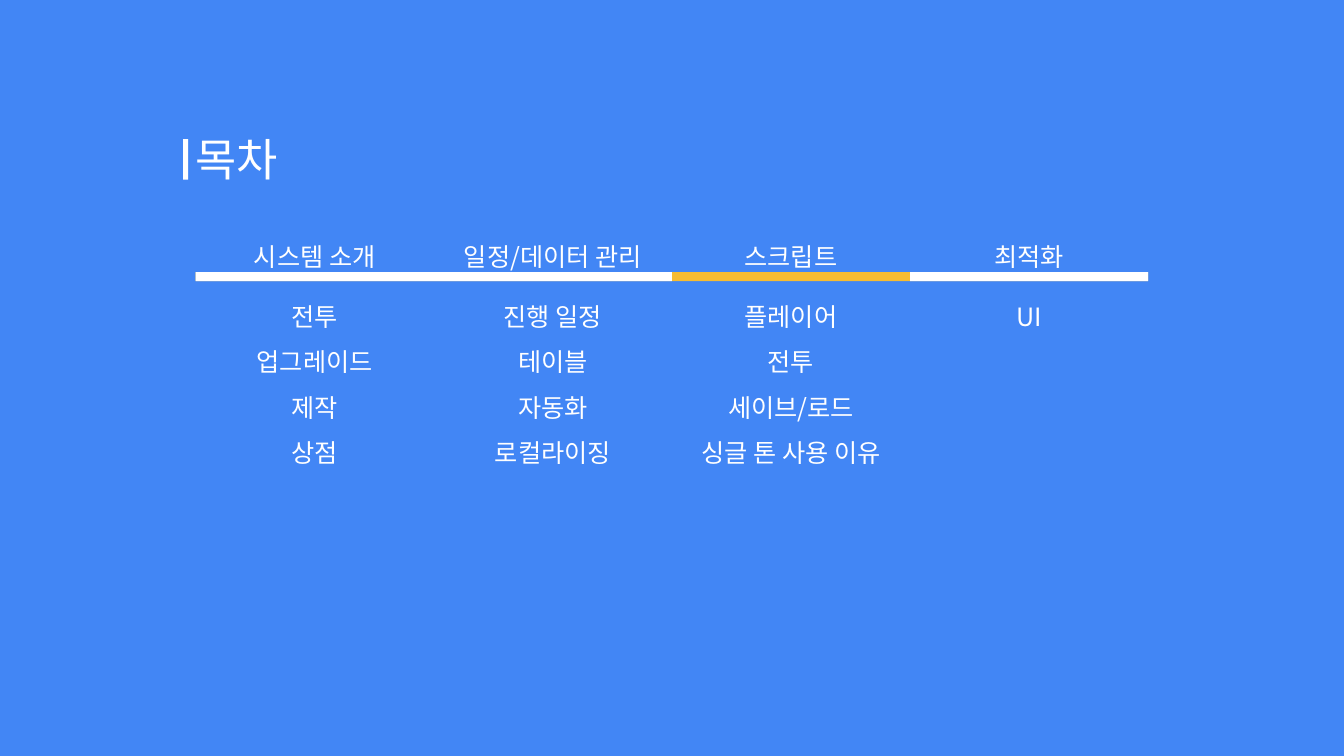
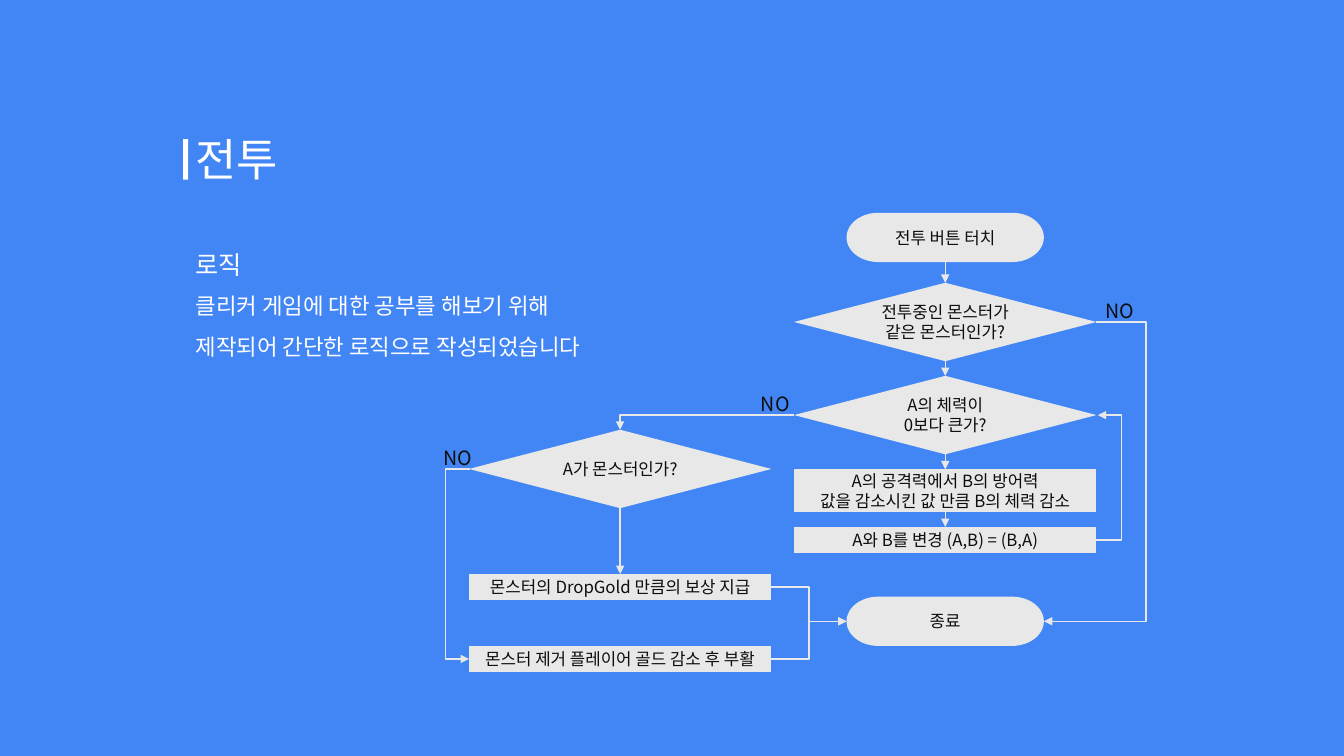
from lxml import etree
from pptx import Presentation
from pptx.dml.color import RGBColor
from pptx.enum import shapes, text
from pptx.oxml import ns
from pptx.util import Pt

FONT = "Noto Sans CJK KR"
BLUE, WHITE, GOLD, GREY, INK = "4286F5", "FFFFFF", "F7BC32", "E8E8E8", "0D0D0D"
LEFT, CENTER = text.PP_ALIGN.LEFT, text.PP_ALIGN.CENTER
TOP, MIDDLE = text.MSO_ANCHOR.TOP, text.MSO_ANCHOR.MIDDLE
KINDS = shapes.MSO_SHAPE


def color(value):
    """Turn a hex string into a colour."""
    return RGBColor.from_string(value)


def assign(target, values):
    """Set every attribute named in a dict of format values."""
    for name, value in values.items():
        setattr(target, name, value)


def place(box, left, top, width, height):
    """Move and size a box, in points."""
    assign(box, {"left": Pt(left), "top": Pt(top), "width": Pt(width), "height": Pt(height)})


def write(box, lines, size, ink=WHITE, align=LEFT, anchor=TOP, spacing=1.0, lead=None):
    """Fill a box with one plain paragraph per line."""
    frame = box.text_frame
    frame.text = "\n".join(lines)
    assign(frame, {"word_wrap": True, "auto_size": text.MSO_AUTO_SIZE.NONE,
                   "vertical_anchor": anchor})
    for index, para in enumerate(frame.paragraphs):
        assign(para, {"alignment": align, "line_spacing": spacing,
                      "space_before": Pt(0), "space_after": Pt(0)})
        points = lead if lead and index == 0 else size
        for span in para.runs:
            assign(span.font, {"name": FONT, "size": Pt(points), "bold": False})
            span.font.color.rgb = color(ink)
    for props in box.element.iter(ns.qn("a:rPr")):
        etree.SubElement(props, ns.qn("a:ea"), typeface=FONT)
    for props in box.element.iter(ns.qn("a:pPr")):
        props.set("marL", "0")
        props.set("indent", "0")
        etree.SubElement(props, ns.qn("a:buNone"))


def add_label(page, area, lines, size, **style):
    """Add a text box."""
    box = page.shapes.add_textbox(*map(Pt, area))
    write(box, lines, size, **style)


def add_block(page, kind, area, fill):
    """Add a flat filled shape without an outline."""
    block = page.shapes.add_shape(kind, *map(Pt, area))
    block.shadow.inherit = False
    block.fill.solid()
    block.fill.fore_color.rgb = color(fill)
    block.line.fill.background()
    return block


def add_page(deck, layout, title):
    """Add a slide with the marked title shared by all slides."""
    page = deck.slides.add_slide(deck.slide_layouts.get_by_name(layout))
    place(page.shapes.title, 132.5, 90.7, 293.8, 46)
    write(page.shapes.title, [title], 32)
    add_block(page, KINDS.RECTANGLE, (130.8, 99.3, 3.6, 29), WHITE)
    return page


def add_arrow(page, kind, start, end):
    """Add a thin line that ends in an arrowhead."""
    arrow = page.shapes.add_connector(kind, *map(Pt, (*start, *end)))
    arrow.line.width = Pt(1)
    arrow.line.color.rgb = color(GREY)
    line = arrow.element.spPr.find(ns.qn("a:ln"))
    etree.SubElement(line, ns.qn("a:tailEnd"), type="triangle")
    etree.SubElement(arrow.element.spPr, ns.qn("a:effectLst"))
    return arrow


def join(page, upper, lower):
    """Point from the bottom of one block to the top of the next."""
    arrow = add_arrow(page, shapes.MSO_CONNECTOR.STRAIGHT, (0, 0), (0, 0))
    arrow.begin_connect(upper, 2)
    arrow.end_connect(lower, 0)


def bend(page, start, end, lane=None):
    """Point along a vertical lane, or with a single corner if there is none."""
    arrow = add_arrow(page, shapes.MSO_CONNECTOR.ELBOW, start, end)
    geometry = arrow.element.spPr.find(ns.qn("a:prstGeom"))
    if lane is None:
        geometry.set("prst", "bentConnector2")
        return
    guides = geometry.find(ns.qn("a:avLst"))
    if guides is None:
        guides = etree.SubElement(geometry, ns.qn("a:avLst"))
    ratio = round((lane - start[0]) / (end[0] - start[0]) * 100000)
    etree.SubElement(guides, ns.qn("a:gd"), name="adj1", fmla=f"val {ratio}")


def add_contents(page, left, top, width):
    """Place the chapter columns above and below a progress bar."""
    chapters = {
        "시스템 소개": ["전투", "업그레이드", "제작", "상점"],
        "일정/데이터 관리": ["진행 일정", "테이블", "자동화", "로컬라이징"],
        "스크립트": ["플레이어", "전투", "세이브/로드", "싱글 톤 사용 이유"],
        "최적화": ["UI"],
    }
    column = width / len(chapters)
    for first, count, fill in ((0, 4, GOLD), (0, 2, WHITE), (3, 1, WHITE)):
        area = (left + first * column, top + 36.7, count * column, 6.5)
        add_block(page, KINDS.RECTANGLE, area, fill)
    style = {"align": CENTER, "spacing": 1.5}
    bodies = [box for box in page.placeholders if box.placeholder_format.idx > 0]
    for index, (body, (chapter, topics)) in enumerate(zip(bodies, chapters.items())):
        x = left + index * column
        add_label(page, (x, top, column, 37.4), [chapter], 18, **style)
        place(body, x, top + 43.2, column, 135.4)
        write(body, topics, 18, **style)


def add_flowchart(page, left, top):
    """Place the battle flowchart with its arrows and labels."""
    wide, right = 216, left + 232.2
    edge = right + wide

    def step(kind, x, y, height, *lines, width=wide):
        """Add one step, centred in its column."""
        area = (x + (wide - width) / 2, top + y, width, height)
        block = add_block(page, kind, area, GREY)
        write(block, lines, 12, ink=INK, align=CENTER, anchor=MIDDLE)
        return block

    def side(block, end):
        """Give the middle of the left (0) or right (1) side in points."""
        x = block.left + end * block.width
        return x / Pt(1), (block.top + block.height / 2) / Pt(1)

    terminal, decision, process = (KINDS.FLOWCHART_TERMINATOR, KINDS.FLOWCHART_DECISION,
                                   KINDS.FLOWCHART_PROCESS)
    touch = step(terminal, right, 0, 35.2, "전투 버튼 터치", width=141)
    same = step(decision, right, 50, 56, "전투중인 몬스터가", "같은 몬스터인가?")
    alive = step(decision, right, 116.5, 56, "A의 체력이", "0보다 큰가?")
    attack = step(process, right, 183.2, 30.5, "A의 공격력에서 B의 방어력",
                  "값을 감소시킨 값 만큼 B의 체력 감소")
    swap = step(process, right, 224.4, 18.6, "A와 B를 변경 (A,B) = (B,A)")
    finish = step(terminal, right, 274.2, 35.2, "종료", width=141)
    monster = step(decision, left, 155, 56, "A가 몬스터인가?")
    reward = step(process, left, 258, 18.6, "몬스터의 DropGold 만큼의 보상 지급")
    revive = step(process, left, 309.4, 18.6, "몬스터 제거 플레이어 골드 감소 후 부활")

    chain = (touch, same, alive, attack, swap)
    for upper, lower in (*zip(chain, chain[1:]), (monster, reward)):
        join(page, upper, lower)

    bend(page, side(alive, 0), (left + wide / 2, top + 155))
    bend(page, side(swap, 1), (edge + 1, side(alive, 1)[1]), edge + 18)
    bend(page, side(same, 1), side(finish, 1), edge + 35.4)
    bend(page, (left + 1, side(monster, 0)[1]), side(revive, 0), left - 17)
    target = side(finish, 0)
    for block in (reward, revive):
        bend(page, side(block, 1), target, (left + wide + target[0]) / 2)

    for x, y in ((447.6, 58.2), (201.4, 124.4), (-25.3, 163.2)):
        add_label(page, (left + x, top + y, 37.4, 24.5), ["NO"], 14, ink=INK)


def add_battle(page):
    """Place the battle explanation beside its flowchart."""
    body = page.placeholders[1]
    place(body, 132.5, 163.4, 347.8, 95.8)
    lines = ["로직", "클리커 게임에 대한 공부를 해보기 위해", "제작되어 간단한 로직으로 작성되었습니다"]
    write(body, lines, 16, spacing=1.5, lead=18)
    add_flowchart(page, 335, 152)


def main():
    """Build and save the deck."""
    deck = Presentation()
    assign(deck, {"slide_width": Pt(960), "slide_height": Pt(540)})
    backdrop = deck.slide_master.background.fill
    backdrop.solid()
    backdrop.fore_color.rgb = color(BLUE)
    add_contents(add_page(deck, "Comparison", "목차"), 139.7, 157.7, 680.4)
    add_battle(add_page(deck, "Title and Content", "전투"))
    deck.save("out.pptx")


if __name__ == "__main__":
    main()
